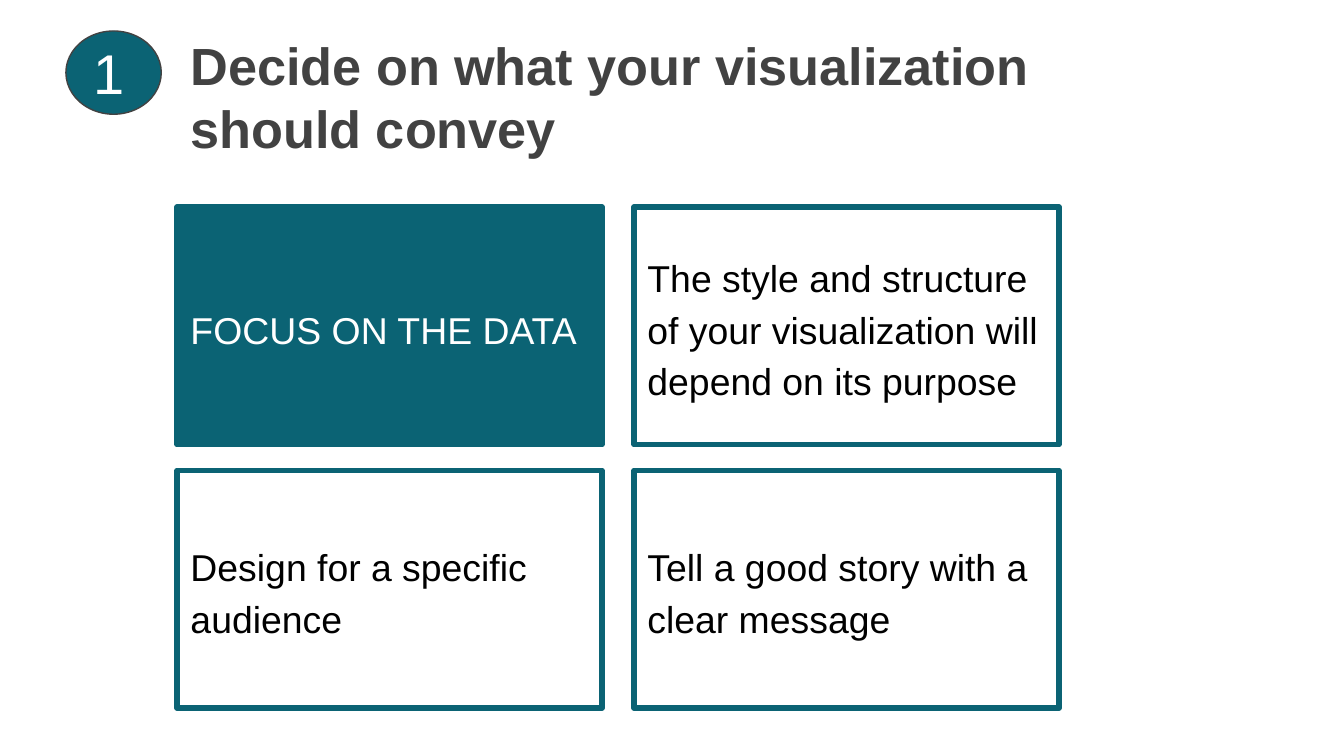
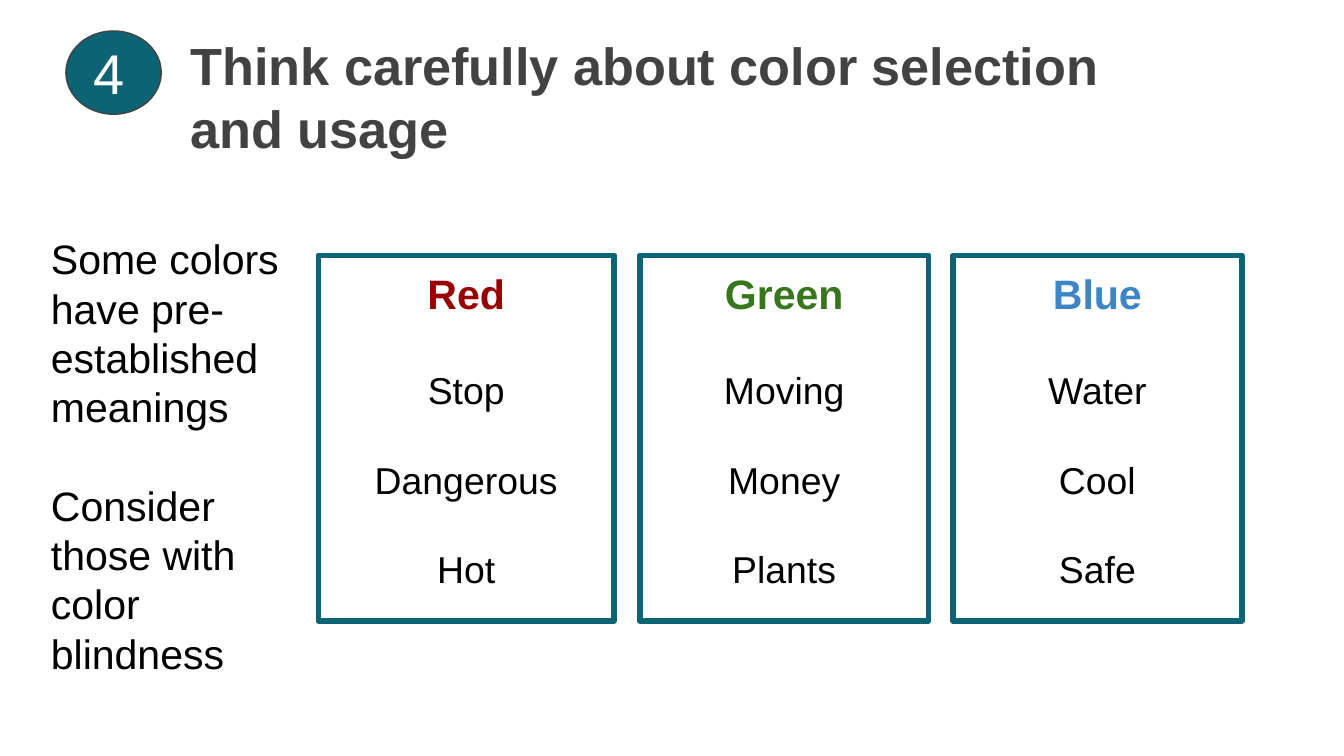
from dataclasses import dataclass
from itertools import product
from typing import Any

from lxml import etree
from pptx import Presentation
from pptx import util as u
from pptx.dml.color import RGBColor
from pptx.enum import shapes, text
from pptx.oxml.ns import qn

# Shared style
FONT = "Arial"
TEAL, CHARCOAL, BLACK, WHITE = "0B6374", "424242", "000000", "FFFFFF"
INSET = 7.2
FRAME_WIDTH = 3


@dataclass(frozen=True)
class Box:
    left: float
    top: float
    width: float
    height: float

    def lengths(self) -> list[u.Length]:
        return [u.Pt(v) for v in (self.left, self.top, self.width, self.height)]


@dataclass(frozen=True)
class Card:
    message: str
    fill: str = WHITE
    color: str = BLACK


@dataclass(frozen=True)
class ColorMeaning:
    name: str
    color: str
    left: float
    width: float
    meanings: tuple[str, ...]


TITLE = Box(95, 10.8, 553.7, 74.2)
BADGE = Box(35.3, 16.6, 51.1, 44.6)


def rgb(value: str) -> RGBColor:
    return RGBColor.from_string(value)


def write(frame: Any, words: str, *, size: float, color: str = BLACK,
          bold: bool = False, align: Any = text.PP_ALIGN.LEFT,
          before: float = 0, after: float = 0, spacing: float = 1.0) -> None:
    """Fill the first paragraph if it is empty, otherwise append one."""
    paragraph = frame.paragraphs[0]
    if paragraph.runs:
        paragraph = frame.add_paragraph()
    paragraph.alignment = align
    paragraph.line_spacing = spacing
    paragraph.space_before = u.Pt(before)
    paragraph.space_after = u.Pt(after)
    run = paragraph.add_run()
    run.text = words
    run.font.name = FONT
    run.font.size = u.Pt(size)
    run.font.bold = bold
    run.font.color.rgb = rgb(color)


def prepare(frame: Any, anchor: Any) -> Any:
    frame.word_wrap = True
    frame.vertical_anchor = anchor
    frame.margin_left = frame.margin_right = u.Pt(INSET)
    frame.margin_top = frame.margin_bottom = u.Pt(INSET)
    return frame


def add_text_area(slide: Any, box: Box) -> Any:
    area = slide.shapes.add_textbox(*box.lengths())
    return prepare(area.text_frame, text.MSO_ANCHOR.TOP)


def add_panel(slide: Any, box: Box, *, fill: str | None = None,
              line: str = TEAL, line_width: float = FRAME_WIDTH,
              kind: Any = shapes.MSO_SHAPE.RECTANGLE,
              anchor: Any = text.MSO_ANCHOR.MIDDLE) -> Any:
    """Draw an outlined shape with rounded joins and return its text frame."""
    panel = slide.shapes.add_shape(kind, *box.lengths())
    panel.shadow.inherit = False
    if fill:
        panel.fill.solid()
        panel.fill.fore_color.rgb = rgb(fill)
    else:
        panel.fill.background()
    panel.line.color.rgb = rgb(line)
    panel.line.width = u.Pt(line_width)
    etree.SubElement(panel.line._get_or_add_ln(), qn("a:round"))
    return prepare(panel.text_frame, anchor)


def add_step_slide(deck: Any, number: int, title: str) -> Any:
    """Start a slide with its numbered badge and title."""
    slide = deck.slides.add_slide(deck.slide_layouts[6])
    write(add_text_area(slide, TITLE), title, size=28, color=CHARCOAL, bold=True)
    badge = add_panel(slide, BADGE, fill=TEAL, line=CHARCOAL, line_width=0.75,
                      kind=shapes.MSO_SHAPE.OVAL)
    write(badge, str(number), size=30, color=WHITE)
    return slide


def build_purpose_slide(deck: Any) -> None:
    slide = add_step_slide(deck, 1, "Decide on what your visualization should convey")
    cards = (
        Card("FOCUS ON THE DATA", TEAL, WHITE),
        Card("The style and structure of your visualization will depend on its purpose"),
        Card("Design for a specific audience"),
        Card("Tell a good story with a clear message"),
    )
    # Two by two grid of cards
    width, height, gap_x, gap_y = 227.5, 127.4, 17.3, 13.7
    for card, (row, column) in zip(cards, product(range(2), repeat=2)):
        place = Box(TITLE.left + column * (width + gap_x),
                    110.9 + row * (height + gap_y), width, height)
        write(add_panel(slide, place, fill=card.fill), card.message,
              size=20, color=card.color, spacing=1.15, after=16)


def build_color_slide(deck: Any) -> None:
    slide = add_step_slide(deck, 4, "Think carefully about color selection and usage")

    # Advice on the left
    advice = add_text_area(slide, Box(20.2, 118.1, 142.6, 262.8))
    write(advice, "Some colors have pre-established meanings", size=22)
    write(advice, "Consider those with color blindness", size=22, before=26.4)

    # One column per color
    columns = (
        ColorMeaning("Red", "980000", 170.6, 158.4, ("Stop", "Dangerous", "Hot")),
        ColorMeaning("Green", "38761D", 342.7, 154.8, ("Moving", "Money", "Plants")),
        ColorMeaning("Blue", "3D85C6", 510.5, 154.8, ("Water", "Cool", "Safe")),
    )
    center = text.PP_ALIGN.CENTER
    for column in columns:
        frame = add_panel(slide, Box(column.left, 136.8, column.width, 195.8),
                          anchor=text.MSO_ANCHOR.TOP)
        write(frame, column.name, size=22, color=column.color, bold=True, align=center)
        for index, meaning in enumerate(column.meanings):
            write(frame, meaning, size=20, align=center,
                  before=24 if index else 26.4)


def main() -> None:
    deck = Presentation()
    deck.slide_width, deck.slide_height = u.Pt(720), u.Pt(405)
    build_purpose_slide(deck)
    build_color_slide(deck)
    deck.save("out.pptx")


if __name__ == "__main__":
    main()
